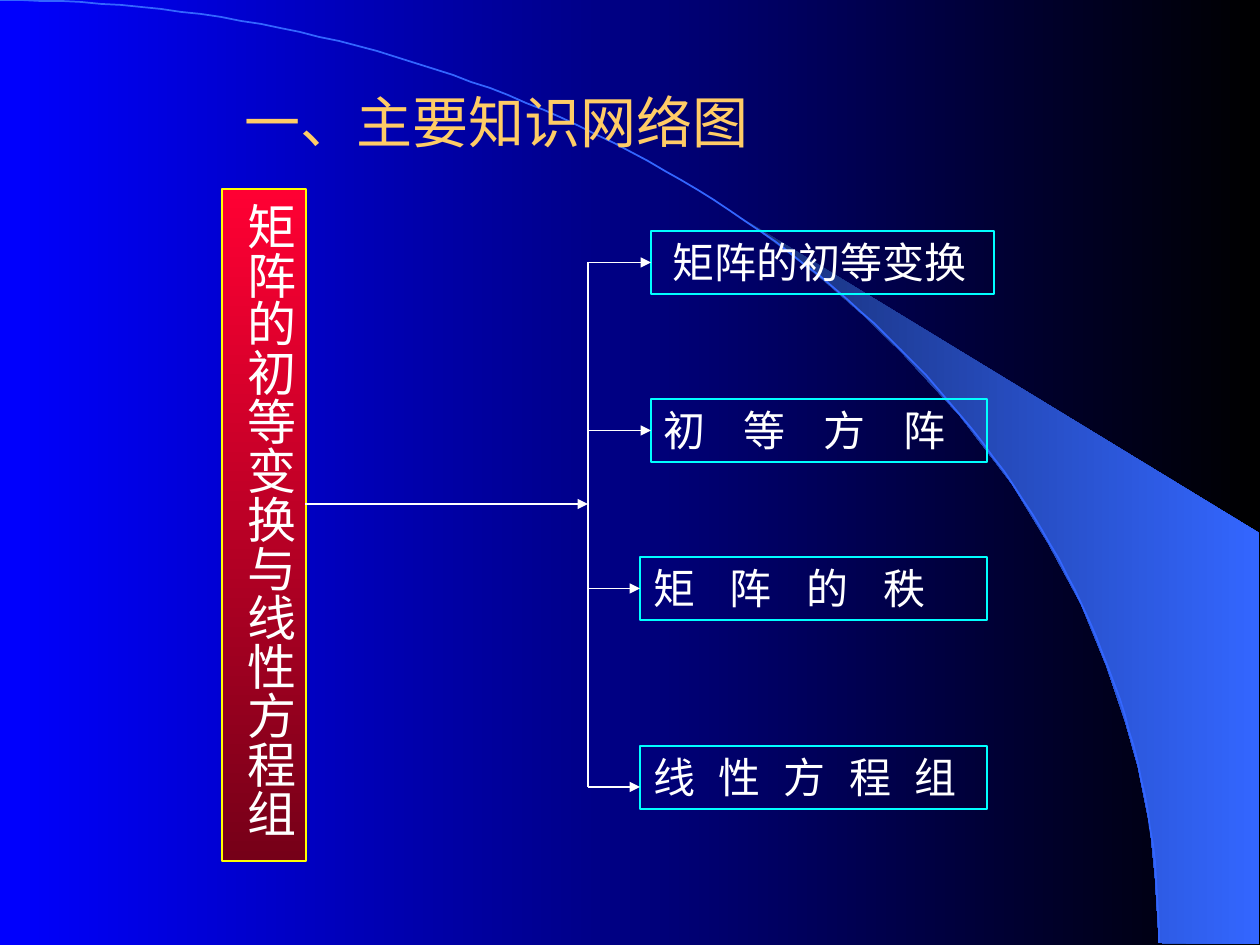
import math

from lxml import etree
from pptx import Presentation
from pptx.dml.color import RGBColor
from pptx.enum.shapes import MSO_CONNECTOR, MSO_SHAPE
from pptx.enum.text import MSO_ANCHOR, PP_ALIGN
from pptx.oxml.ns import qn
from pptx.util import Pt

PX = 914400 / 126
RECTANGLE = MSO_SHAPE.RECTANGLE
STRAIGHT = MSO_CONNECTOR.STRAIGHT
LEFT, TOP, MIDDLE = PP_ALIGN.LEFT, MSO_ANCHOR.TOP, MSO_ANCHOR.MIDDLE
LEFT_SIDE = 1
TITLE_ONLY = 5

BLUE, BLACK, WHITE = "0000FF", "000000", "FFFFFF"
ARC_BLUE, DEEP_BLUE = "3366FF", "182F76"
RED, DARK_RED, YELLOW, CYAN, GOLD = "FF0033", "760018", "FFFF00", "00FFFF", "FFCC66"

# Left, top, width, text, left inset, spacing between characters in points
BRANCHES = [
    (651, 231, 343, "矩阵的初等变换", 22, 0),
    (651, 399, 336, "初等方阵", 13, 21.6),
    (640, 557, 347, "矩阵的秩", 13, 19.8),
    (640, 746, 347, "线性方程组", 13, 13.4),
]
BRANCH_HEIGHT = 63
TRUNK_X, TRUNK_TOP, TRUNK_BOTTOM = 588, 262, 787
SWOOSH = [
    (1159, 943), (1259, 944), (1259, 533), (742, 218), (786, 251), (823, 280),
    (863, 315), (902, 353), (960, 416), (1012, 484), (1048, 543), (1081, 604),
    (1106, 665), (1125, 721), (1138, 767), (1150, 827), (1155, 877),
]


def emu(pixels):
    return round(pixels * PX)


def color(hex_text):
    return RGBColor.from_string(hex_text)


def apply(target, values):
    for name, value in values.items():
        setattr(target, name, value)


class SlideBuilder:
    def __init__(self, slide):
        self.slide = slide
        self.line_width = 0.75
        self.body_font = "Times New Roman"

    def gradient(self, fill, colors, angle=0):
        """Fill with two colours; the angle runs counter-clockwise."""
        fill.gradient()
        fill.gradient_angle = angle
        for stop, hex_text in zip(fill.gradient_stops, colors):
            stop.color.rgb = color(hex_text)

    def outline(self, shape, hex_text, width=None):
        shape.line.color.rgb = color(hex_text)
        shape.line.width = Pt(width or self.line_width)

    def add_text(self, shape, text, size, insets, anchor=TOP, font=None,
                 hex_text=WHITE, spacing=0):
        """Set the text; insets are left, top, right, bottom."""
        frame = shape.text_frame
        sides = ("margin_left", "margin_top", "margin_right", "margin_bottom")
        apply(frame, dict(zip(sides, map(emu, insets))))
        apply(frame, {"word_wrap": True, "vertical_anchor": anchor})
        paragraph = frame.paragraphs[0]
        paragraph.alignment = LEFT
        run = paragraph.add_run()
        run.text = text
        apply(run.font, {"name": font or self.body_font, "size": Pt(size), "bold": False})
        run.font.color.rgb = color(hex_text)
        if spacing:
            run.font._element.set("spc", str(round(spacing * 100)))

    def title(self, box, text):
        title = self.slide.shapes.title
        apply(title, dict(zip(("left", "top", "width", "height"), map(emu, box))))
        self.add_text(title, text, 32, (13, 6, 13, 6), MIDDLE, "Arial", GOLD)
        # Bring the title in front of the decoration
        title._element.getparent().append(title._element)

    def freeform(self, points, closed):
        builder = self.slide.shapes.build_freeform(*points[0], scale=PX)
        builder.add_line_segments(points[1:], close=closed)
        shape = builder.convert_to_shape()
        shape.shadow.inherit = False
        return shape

    def swoosh(self, points):
        shape = self.freeform(points, True)
        self.gradient(shape.fill, (DEEP_BLUE, ARC_BLUE))
        shape.line.fill.background()

    def arc(self, width, height, steps=90):
        """Draw a quarter ellipse from the top left corner."""
        angles = [math.pi / 2 * step / steps for step in range(steps + 1)]
        points = [(width * math.sin(a), height * (1 - math.cos(a))) for a in angles]
        shape = self.freeform(points, False)
        shape.fill.background()
        self.outline(shape, ARC_BLUE, 1)

    def rectangle(self, box, line_color):
        shape = self.slide.shapes.add_shape(RECTANGLE, *map(emu, box))
        shape.shadow.inherit = False
        shape.fill.background()
        self.outline(shape, line_color)
        return shape

    def root(self, box, text):
        shape = self.rectangle(box, YELLOW)
        self.gradient(shape.fill, (RED, DARK_RED), 270)
        self.add_text(shape, text, 28, (6, 13, 6, 13))
        shape.text_frame._txBody.bodyPr.set("vert", "eaVert")

    def branch(self, left, top, width, text, inset, spacing):
        shape = self.rectangle((left, top, width, BRANCH_HEIGHT), CYAN)
        self.add_text(shape, text, 24, (inset, 6, 0, 6), spacing=spacing)
        return shape

    def connector(self, start, end, arrow=True):
        line = self.slide.shapes.add_connector(STRAIGHT, *map(emu, start + end))
        self.outline(line, WHITE)
        if arrow:
            etree.SubElement(line.line._get_or_add_ln(), qn("a:tailEnd"), type="triangle")
        etree.SubElement(line._element.spPr, qn("a:effectLst"))
        return line


def main():
    presentation = Presentation()
    apply(presentation, {"slide_width": emu(1260), "slide_height": emu(945)})
    slide = presentation.slides.add_slide(presentation.slide_layouts[TITLE_ONLY])
    builder = SlideBuilder(slide)
    builder.gradient(slide.background.fill, (BLUE, BLACK))
    builder.swoosh(SWOOSH)
    builder.arc(1159, 943)
    builder.title((231, 63, 746, 116), "一、主要知识网络图")
    builder.root((222, 189, 84, 672), "矩阵的初等变换与线性方程组")
    boxes = [builder.branch(*branch) for branch in BRANCHES]

    builder.connector((TRUNK_X, TRUNK_TOP), (TRUNK_X, TRUNK_BOTTOM), arrow=False)
    for box, (left, top, *_) in zip(boxes[:-1], BRANCHES):
        middle = top + BRANCH_HEIGHT / 2
        arrow = builder.connector((TRUNK_X, middle), (left, middle))
        arrow.end_connect(box, LEFT_SIDE)
    builder.connector((TRUNK_X, TRUNK_BOTTOM), (BRANCHES[-1][0], TRUNK_BOTTOM))
    builder.connector((305, 504), (TRUNK_X, 504))
    presentation.save("out.pptx")


if __name__ == "__main__":
    main()
